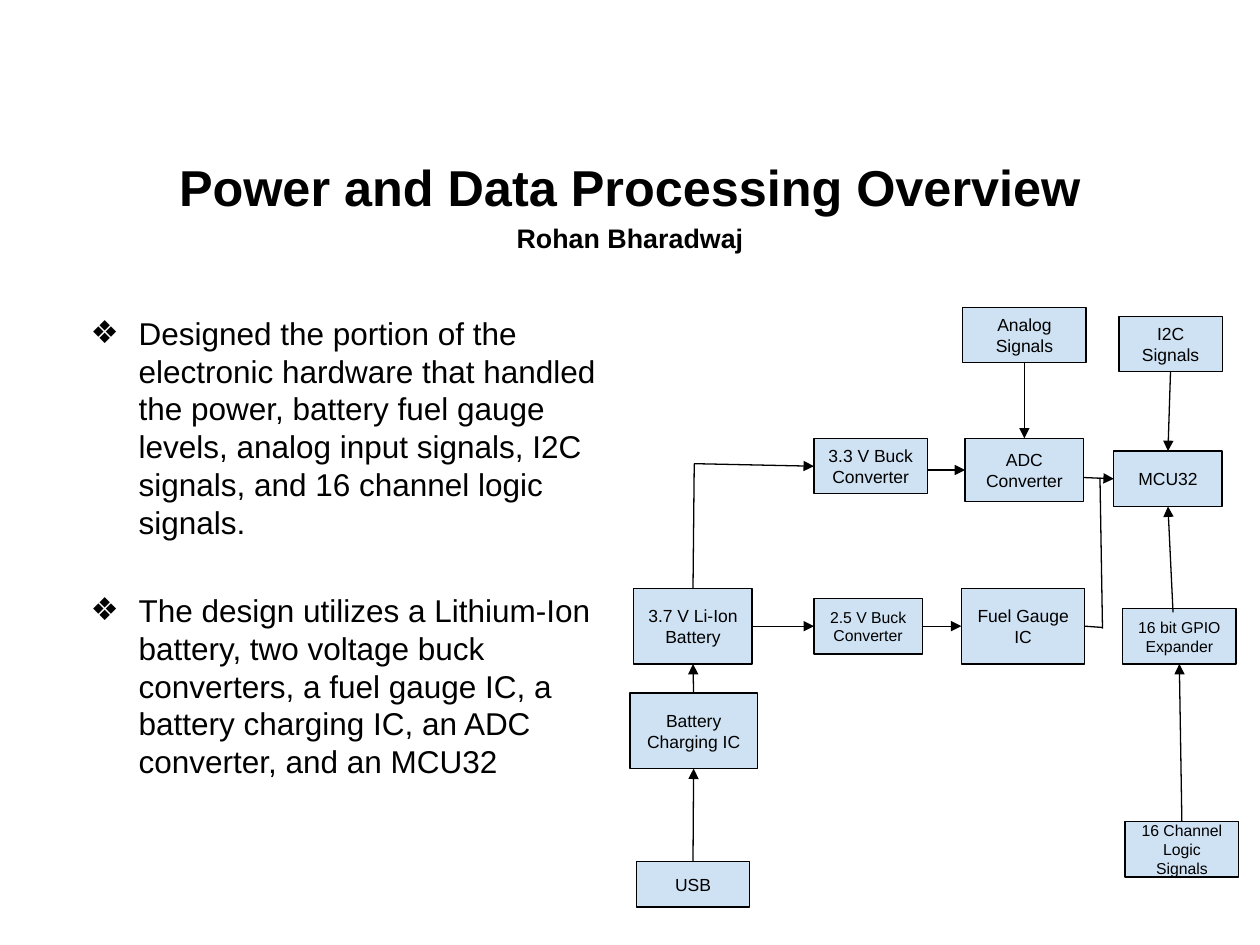
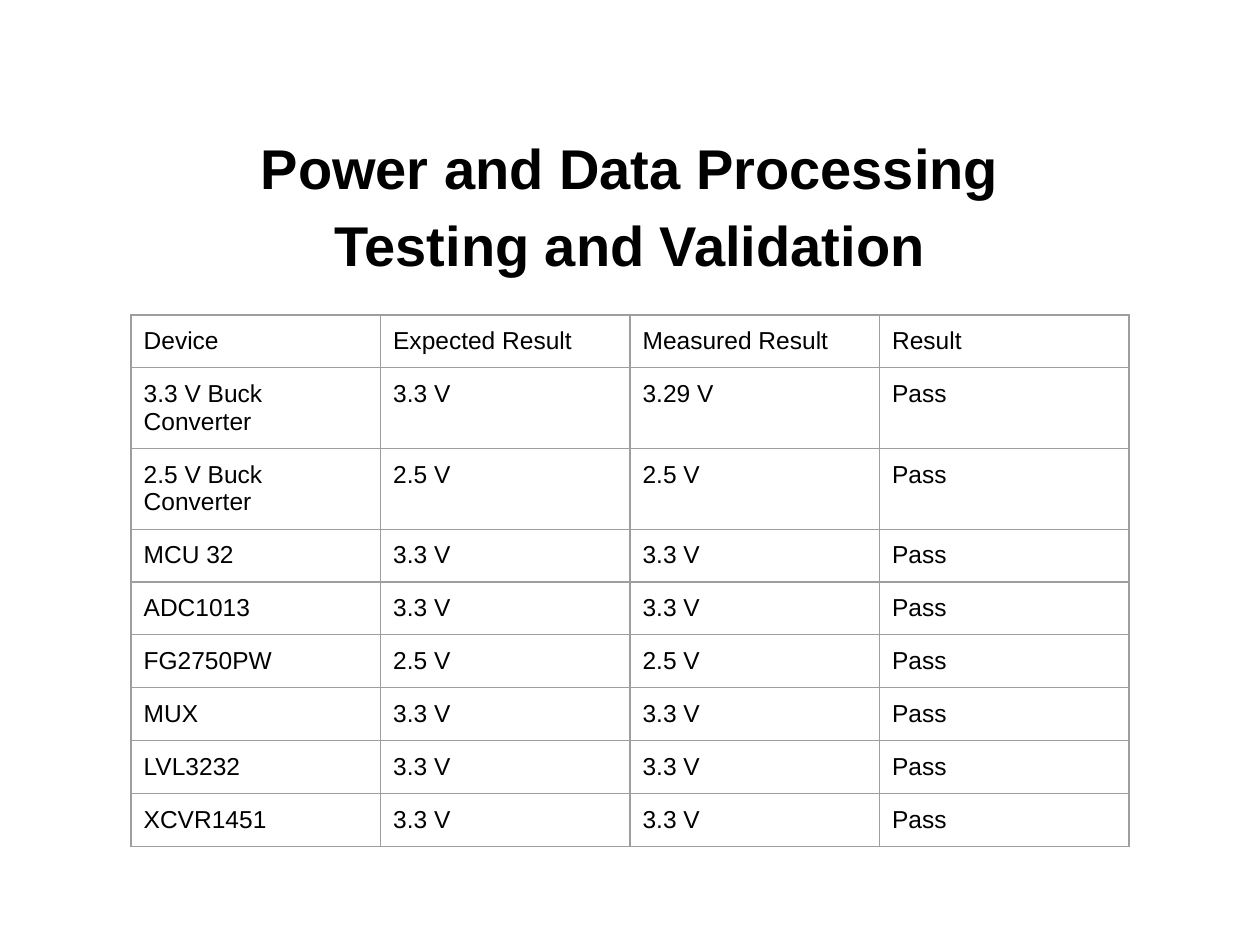
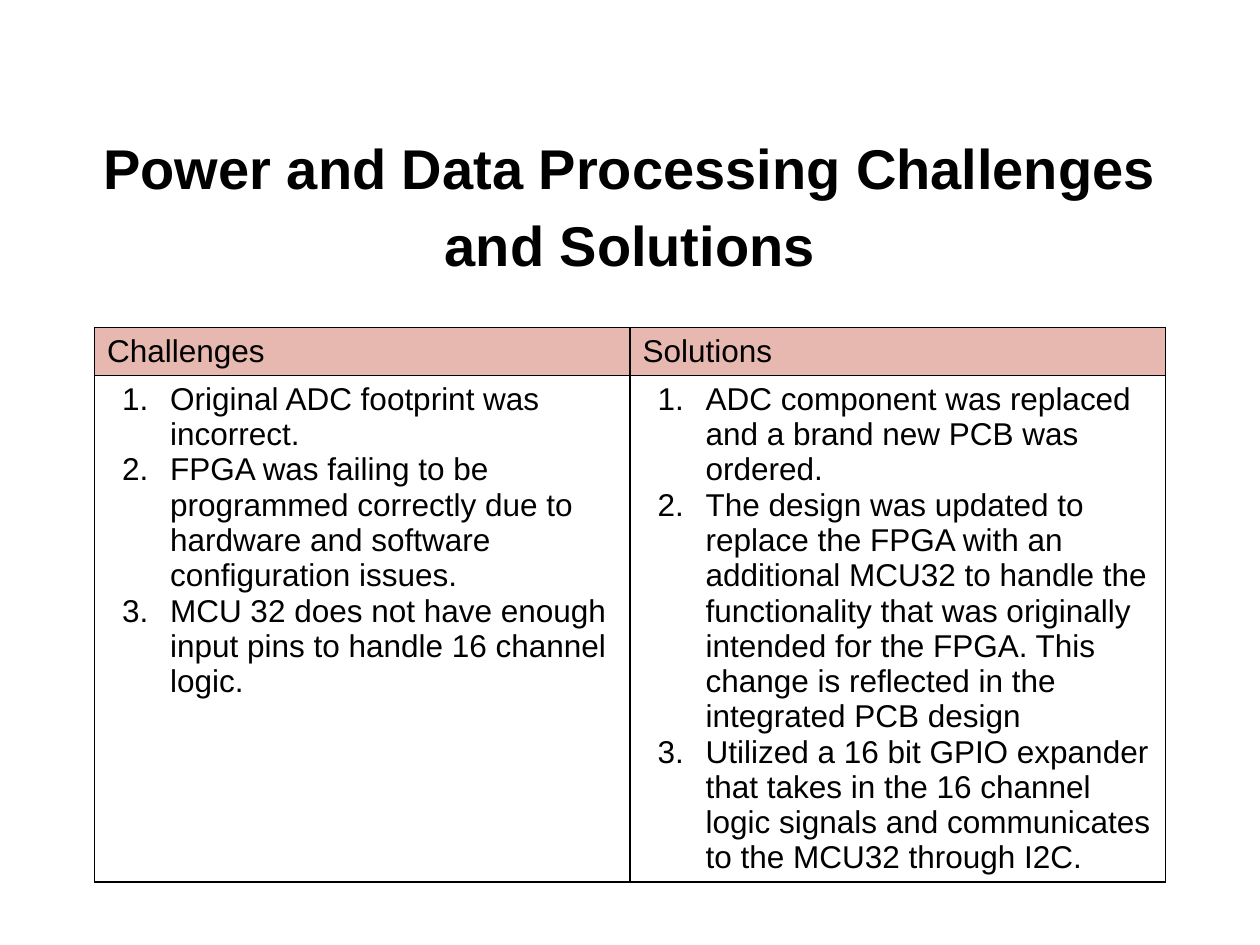
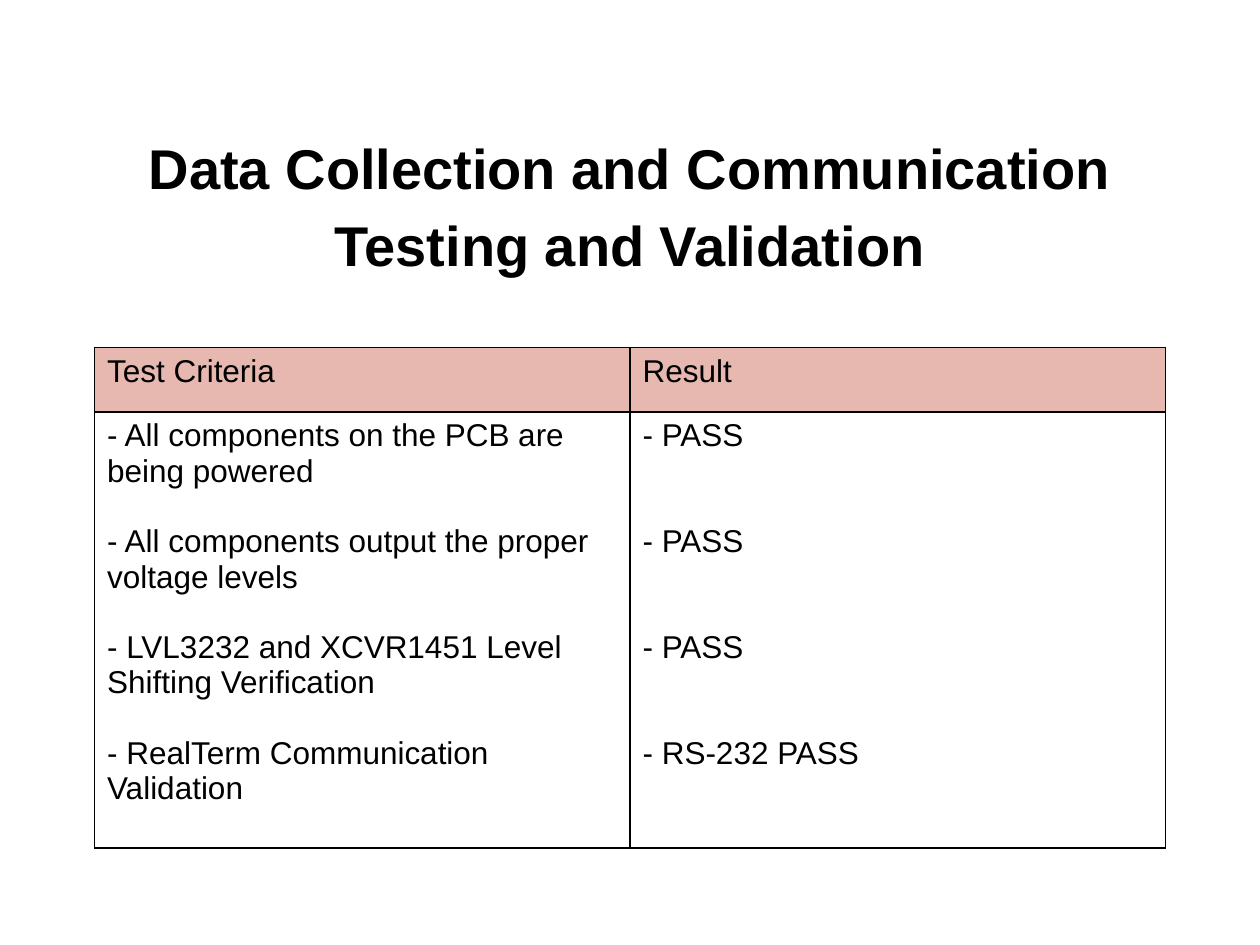
"""Build four slides on the power and data processing work."""
from dataclasses import dataclass

from lxml import etree
from pptx import Presentation
from pptx.dml.color import RGBColor
from pptx.enum.shapes import MSO_CONNECTOR, MSO_SHAPE
from pptx.enum.text import MSO_ANCHOR, MSO_AUTO_SIZE, PP_ALIGN
from pptx.oxml.ns import qn
from pptx.util import Inches, Pt

RECTANGLE = MSO_SHAPE.RECTANGLE
STRAIGHT = MSO_CONNECTOR.STRAIGHT
CENTER = PP_ALIGN.CENTER
LEFT_ALIGNED = PP_ALIGN.LEFT
MIDDLE = MSO_ANCHOR.MIDDLE
TOP_ANCHOR = MSO_ANCHOR.TOP
NO_AUTOFIT = MSO_AUTO_SIZE.NONE
TOP, LEFT, BOTTOM, RIGHT = range(4)

FONT = "Arial"
COLORS = {"ink": "000000", "block": "CFE2F3", "header": "E6B8AF", "grid": "9E9E9E"}
CONTENT_LAYOUT, TITLE_LAYOUT = 1, 5
TITLE_SIZE = 32
LIST_SIZE = 18


@dataclass(frozen=True)
class Block:
    """A labelled rectangle of the block diagram, in inches."""
    name: str
    label: str
    left: float
    top: float
    width: float
    height: float
    size: float = 10


@dataclass(frozen=True)
class Side:
    """The middle of one side of a block."""
    name: str
    index: int


@dataclass(frozen=True)
class Point:
    """A free place on the slide, in inches."""
    x: float
    y: float


@dataclass(frozen=True)
class Link:
    """A line between two ends, with an arrowhead at the second by default."""
    start: Side | Point
    end: Side | Point
    arrow: bool = True


@dataclass(frozen=True)
class Column:
    """A headed column of paragraphs in a two-row table."""
    heading: str
    lines: tuple[str, ...]
    gap: float = 0


@dataclass(frozen=True)
class Grid:
    """The place and look of a table, in inches and points."""
    left: float
    top: float
    column_width: float
    row_heights: tuple[float, ...]
    size: float
    margin: float
    border: str
    border_width: float
    header: str | None = None


BLOCKS = (
    Block("battery", "3.7 V Li-Ion Battery", 5.03, 4.67, 0.94, 0.6),
    Block("charger", "Battery Charging IC", 5, 5.5, 1.01, 0.6),
    Block("gauge", "Fuel Gauge IC", 7.63, 4.67, 0.98, 0.6),
    Block("adc", "ADC Converter", 7.66, 3.48, 0.94, 0.5),
    Block("controller", "MCU32", 8.84, 3.58, 0.86, 0.44),
    Block("logic", "16 Channel Logic\nSignals", 8.93, 6.52, 0.9, 0.44, 9),
    Block("analog", "Analog Signals", 7.64, 2.44, 0.98, 0.44),
    Block("i2c", "I2C Signals", 8.88, 2.51, 0.82, 0.44),
    Block("expander", "16 bit GPIO Expander", 8.91, 4.83, 0.9, 0.44, 9),
    Block("usb", "USB", 5.05, 6.84, 0.9, 0.36),
    Block("buck33", "3.3 V Buck Converter", 6.46, 3.48, 0.9, 0.44),
    Block("buck25", "2.5 V Buck Converter", 6.46, 4.75, 0.86, 0.44, 9),
)

LINKS = (
    Link(Side("usb", TOP), Side("charger", BOTTOM)),
    Link(Side("charger", TOP), Side("battery", BOTTOM)),
    Link(Side("battery", RIGHT), Side("buck25", LEFT)),
    Link(Side("battery", TOP), Point(5.51, 3.68), arrow=False),
    Link(Point(5.51, 3.68), Side("buck33", LEFT)),
    Link(Side("buck25", RIGHT), Side("gauge", LEFT)),
    Link(Side("logic", TOP), Side("expander", BOTTOM)),
    Link(Point(9.31, 4.86), Side("controller", BOTTOM)),
    Link(Point(7.36, 3.73), Side("adc", LEFT)),
    Link(Side("analog", BOTTOM), Side("adc", TOP)),
    Link(Side("i2c", BOTTOM), Side("controller", TOP)),
    Link(Point(8.6, 3.79), Side("controller", LEFT)),
    Link(Side("gauge", RIGHT), Point(8.75, 4.98), arrow=False),
    Link(Point(8.73, 3.79), Point(8.75, 4.99), arrow=False),
)

OVERVIEW = (
    "Designed the portion of the electronic hardware that handled the power, battery fuel "
    "gauge levels, analog input signals, I2C signals, and 16 channel logic signals.",
    "The design utilizes a Lithium-Ion battery, two voltage buck converters, a fuel gauge IC, "
    "a battery charging IC, an ADC converter, and an MCU32",
)

MEASUREMENTS = (
    ("3.3 V Buck Converter", "3.3 V", "3.29 V"),
    ("2.5 V Buck Converter", "2.5 V", "2.5 V"),
    ("MCU 32", "3.3 V", "3.3 V"),
    ("ADC1013", "3.3 V", "3.3 V"),
    ("FG2750PW", "2.5 V", "2.5 V"),
    ("MUX", "3.3 V", "3.3 V"),
    ("LVL3232", "3.3 V", "3.3 V"),
    ("XCVR1451", "3.3 V", "3.3 V"),
)

CHALLENGES = (
    Column("Challenges", (
        "Original ADC footprint was incorrect.",
        "FPGA was failing to be programmed correctly due to hardware and software "
        "configuration issues.",
        "MCU 32 does not have enough input pins to handle 16 channel logic.",
    )),
    Column("Solutions", (
        "ADC component was replaced and a brand new PCB was ordered.",
        "The design was updated to replace the FPGA with an additional MCU32 to handle the "
        "functionality that was originally intended for the FPGA. This change is reflected "
        "in the integrated PCB design",
        "Utilized a 16 bit GPIO expander that takes in the 16 channel logic signals and "
        "communicates to the MCU32 through I2C.",
    )),
)

CRITERIA = (
    Column("Test Criteria", (
        "- All components on the PCB are being powered",
        "- All components output the proper voltage levels",
        "- LVL3232 and XCVR1451 Level Shifting Verification",
        "- RealTerm Communication Validation",
    ), gap=20.2),
    Column("Result", ("- PASS", "- PASS", "- PASS", "- RS-232 PASS"), gap=40.4),
)


def color(name: str) -> RGBColor:
    """Return the named colour."""
    return RGBColor.from_string(COLORS[name])


def style(paragraph, size: float, bold: bool = False) -> None:
    """Give every run of a paragraph the shared font."""
    for span in paragraph.runs:
        span.font.name = FONT
        span.font.size = Pt(size)
        span.font.bold = bold
        span.font.color.rgb = color("ink")


def set_margins(target, side: float, edge: float) -> None:
    """Set the horizontal and vertical insets of a text frame or cell."""
    target.margin_left = target.margin_right = Inches(side)
    target.margin_top = target.margin_bottom = Inches(edge)


def add_marker(paragraph, tag: str, **attributes: str) -> None:
    """Hang a paragraph behind a bullet or a number."""
    properties = paragraph._p.get_or_add_pPr()
    properties.set("marL", str(Inches(0.5)))
    properties.set("indent", str(-Inches(0.38)))
    marker_color = etree.SubElement(properties, qn("a:buClr"))
    etree.SubElement(marker_color, qn("a:srgbClr"), val=COLORS["ink"])
    etree.SubElement(properties, qn(tag), **attributes)


def place(shape, left: float, top: float, width: float, height: float) -> None:
    """Move and size a placeholder."""
    shape.left, shape.top = Inches(left), Inches(top)
    shape.width, shape.height = Inches(width), Inches(height)


def add_page(deck, layout: int, title: str, sizes: tuple[float, ...] = (TITLE_SIZE, TITLE_SIZE)):
    """Add a slide with the shared title, one size for each title paragraph."""
    page = deck.slides.add_slide(deck.slide_layouts[layout])
    box = page.shapes.title
    place(box, 0.5, 1.15, 9, 0.88)
    frame = box.text_frame
    frame.text = title
    frame.auto_size = NO_AUTOFIT
    frame.vertical_anchor = MIDDLE
    set_margins(frame, 0.1, 0.05)
    for paragraph, size in zip(frame.paragraphs, sizes):
        paragraph.alignment = CENTER
        paragraph.line_spacing = 1.15
        style(paragraph, size, bold=True)
    return page


def add_bullets(page, lines: tuple[str, ...]) -> None:
    """Fill the body placeholder with a bulleted list."""
    box = page.placeholders[1]
    place(box, 0.5, 2.44, 4.42, 4.86)
    frame = box.text_frame
    frame.text = "\n".join(lines)
    frame.auto_size = NO_AUTOFIT
    frame.vertical_anchor = TOP_ANCHOR
    set_margins(frame, 0.1, 0.05)
    for index, paragraph in enumerate(frame.paragraphs):
        paragraph.alignment = LEFT_ALIGNED
        paragraph.space_before = Pt(28.8 if index else 0)
        add_marker(paragraph, "a:buChar", char="❖")
        style(paragraph, LIST_SIZE)


def add_block(page, block: Block):
    """Draw one rectangle of the diagram."""
    shape = page.shapes.add_shape(RECTANGLE, Inches(block.left), Inches(block.top),
                                  Inches(block.width), Inches(block.height))
    shape.shadow.inherit = False
    shape.fill.solid()
    shape.fill.fore_color.rgb = color("block")
    shape.line.color.rgb = color("ink")
    shape.line.width = Pt(0.75)
    frame = shape.text_frame
    frame.text = block.label
    frame.word_wrap = True
    frame.vertical_anchor = MIDDLE
    set_margins(frame, 0.1, 0.1)
    for paragraph in frame.paragraphs:
        paragraph.alignment = CENTER
        style(paragraph, block.size)
    return shape


def add_link(page, link: Link, shapes: dict) -> None:
    """Draw one line of the diagram, joined to blocks where it meets a side."""
    corners = [Inches(value) for end in (link.start, link.end)
               for value in ((end.x, end.y) if isinstance(end, Point) else (0, 0))]
    line = page.shapes.add_connector(STRAIGHT, *corners)
    for end, join in ((link.start, line.begin_connect), (link.end, line.end_connect)):
        if isinstance(end, Side):
            join(shapes[end.name], end.index)
    line.line.color.rgb = color("ink")
    line.line.width = Pt(0.75)
    if link.arrow:
        etree.SubElement(line.line._get_or_add_ln(), qn("a:tailEnd"), type="triangle")
    etree.SubElement(line._element.spPr, qn("a:effectLst"))


def add_borders(cell, name: str, width: float) -> None:
    """Draw the four borders of a cell."""
    properties = cell._tc.get_or_add_tcPr()
    for tag in ("a:lnL", "a:lnR", "a:lnT", "a:lnB"):
        border = etree.SubElement(properties, qn(tag), w=str(Pt(width)))
        fill = etree.SubElement(border, qn("a:solidFill"))
        etree.SubElement(fill, qn("a:srgbClr"), val=COLORS[name])


def add_grid(page, grid: Grid, rows: list[tuple[str, ...]]):
    """Add a table of texts and return it."""
    columns = len(rows[0])
    frame = page.shapes.add_table(len(rows), columns, Inches(grid.left), Inches(grid.top),
                                  Inches(grid.column_width * columns),
                                  Inches(sum(grid.row_heights)))
    table = frame.table
    table.first_row = table.horz_banding = False
    for column in table.columns:
        column.width = Inches(grid.column_width)
    for index, (row, texts) in enumerate(zip(table.rows, rows)):
        row.height = Inches(grid.row_heights[index])
        for cell, text in zip(row.cells, texts):
            cell.text = text
            set_margins(cell, 0.1, grid.margin)
            add_borders(cell, grid.border, grid.border_width)
            if grid.header and index == 0:
                cell.fill.solid()
                cell.fill.fore_color.rgb = color(grid.header)
            else:
                cell.fill.background()
            for paragraph in cell.text_frame.paragraphs:
                style(paragraph, grid.size)
    return table


def add_columns(page, top: float, heights: tuple[float, float], columns: tuple[Column, ...],
                numbered: bool = False) -> None:
    """Add a table with a coloured heading above each column of paragraphs."""
    grid = Grid(0.75, top, 4.25, heights, LIST_SIZE, 0.05, "ink", 1, "header")
    rows = [tuple(column.heading for column in columns),
            tuple("\n".join(column.lines) for column in columns)]
    table = add_grid(page, grid, rows)
    for cell, column in zip(table.rows[1].cells, columns):
        for index, paragraph in enumerate(cell.text_frame.paragraphs):
            if index and column.gap:
                paragraph.space_before = Pt(column.gap)
            if numbered:
                add_marker(paragraph, "a:buAutoNum", type="arabicPeriod")


def add_overview(deck) -> None:
    """Add the overview with its block diagram."""
    page = add_page(deck, CONTENT_LAYOUT,
                    "Power and Data Processing Overview\nRohan Bharadwaj", (28.8, 15.3))
    add_bullets(page, OVERVIEW)
    shapes = {block.name: add_block(page, block) for block in BLOCKS}
    for link in LINKS:
        add_link(page, link, shapes)


def add_measurements(deck) -> None:
    """Add the table of measured voltages."""
    page = add_page(deck, TITLE_LAYOUT, "Power and Data Processing\nTesting and Validation")
    rows = [("Device", "Expected Result", "Measured Result", "Result")]
    rows += [(*measurement, "Pass") for measurement in MEASUREMENTS]
    heights = (0.42, 0.64, 0.64) + (0.42,) * 6
    add_grid(page, Grid(1.04, 2.5, 1.98, heights, 14, 0.1, "grid", 0.75), rows)


def add_challenges(deck) -> None:
    """Add the challenges beside their solutions."""
    page = add_page(deck, TITLE_LAYOUT, "Power and Data Processing Challenges and Solutions")
    add_columns(page, 2.6, (0.38, 4.02), CHALLENGES, numbered=True)


def add_criteria(deck) -> None:
    """Add the test criteria beside their results."""
    page = add_page(deck, TITLE_LAYOUT, "Data Collection and Communication Testing and Validation")
    add_columns(page, 2.76, (0.51, 3.46), CRITERIA)


def main() -> None:
    """Build and save the deck."""
    deck = Presentation()
    deck.slide_width, deck.slide_height = Inches(10), Inches(7.5)
    add_overview(deck)
    add_measurements(deck)
    add_challenges(deck)
    add_criteria(deck)
    deck.save("out.pptx")


if __name__ == "__main__":
    main()
